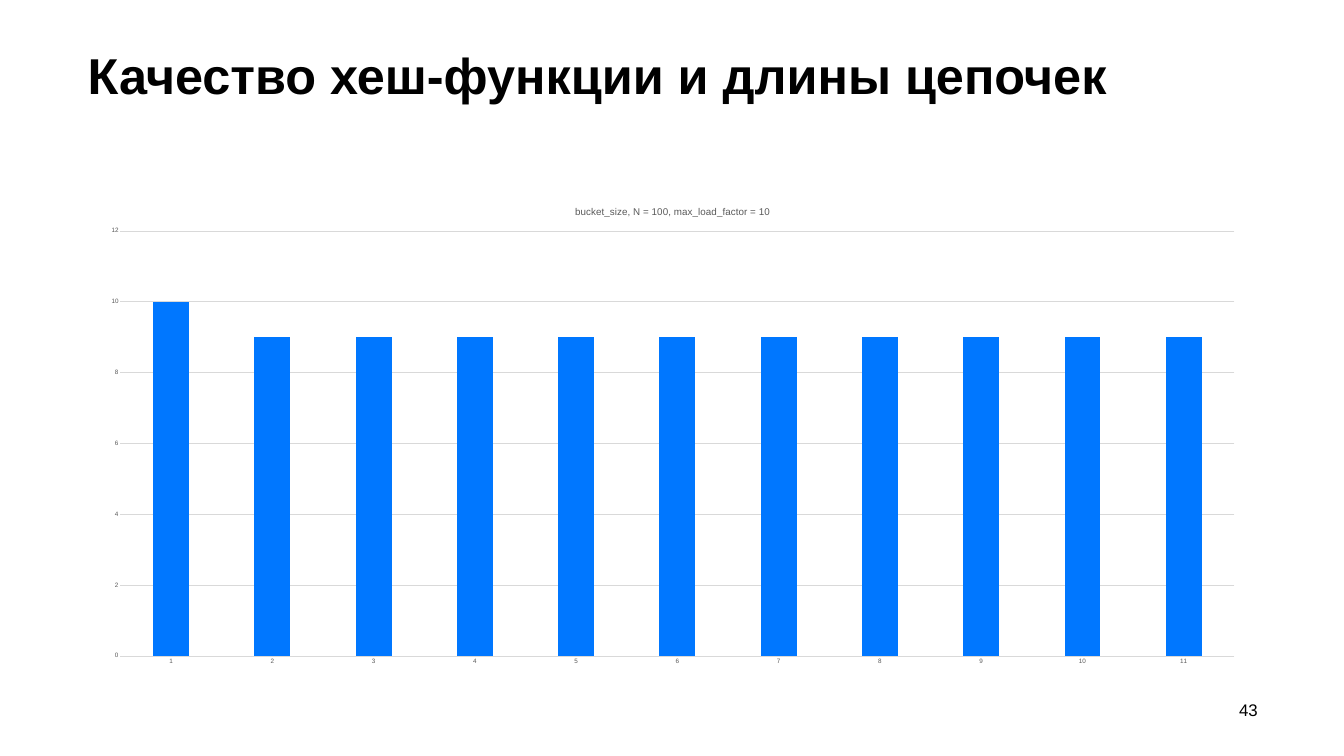
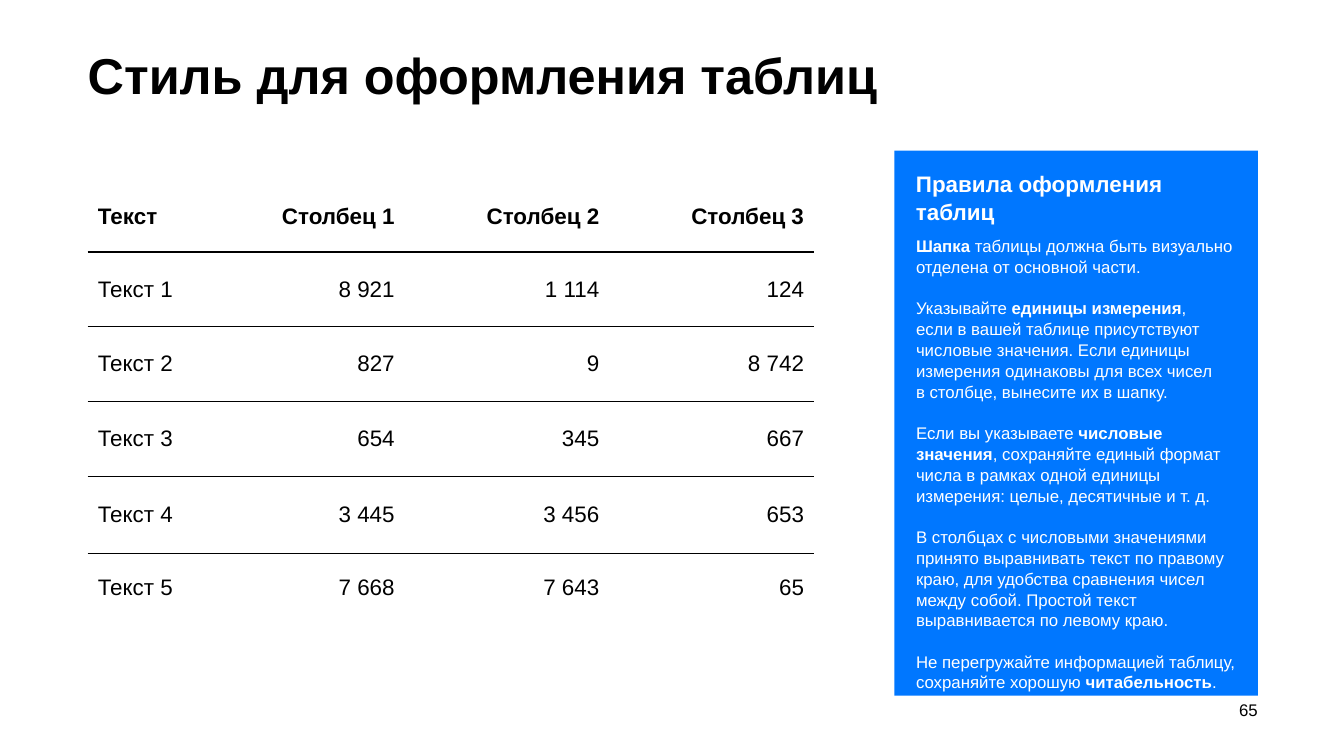
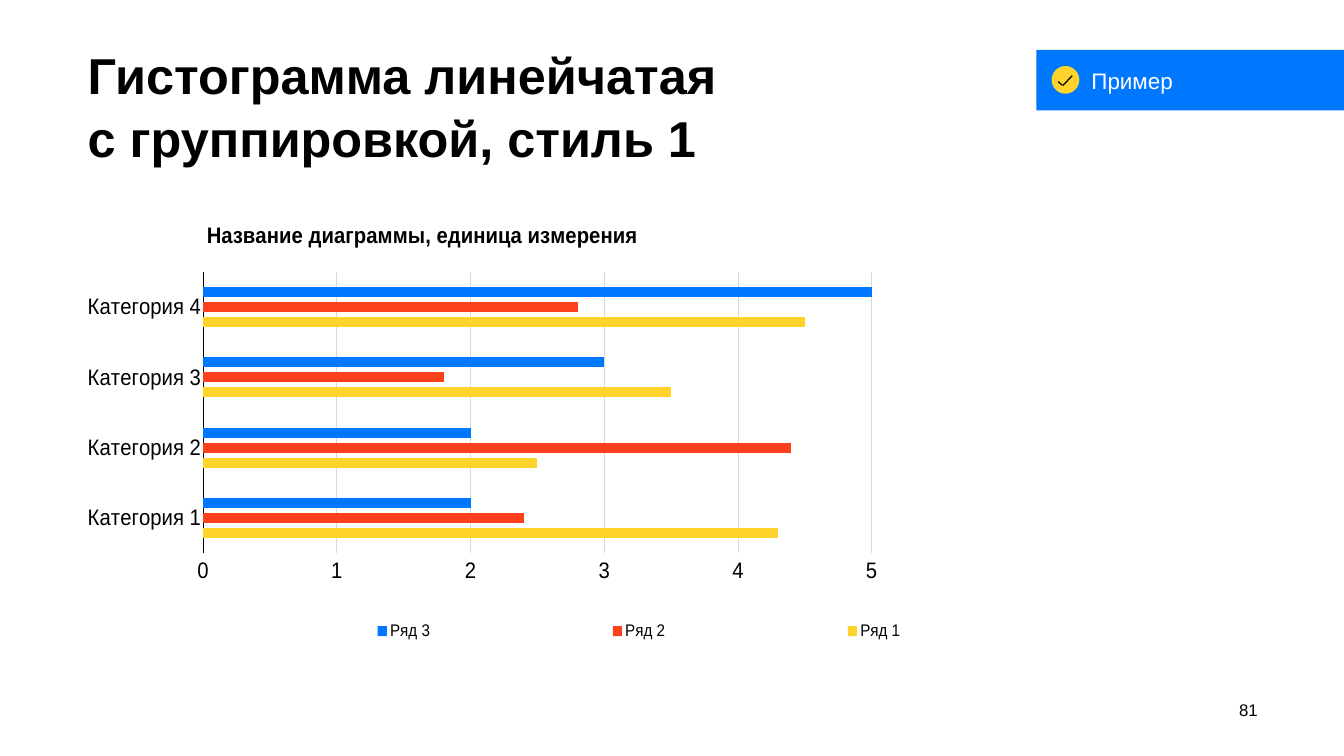
from lxml import etree
from pptx import Presentation
from pptx import util as u
from pptx.chart.data import CategoryChartData
from pptx.dml.color import RGBColor
from pptx.enum import chart as ch, shapes, text
from pptx.oxml.ns import qn

PX = 9144  # 100 px to the inch
FONT = "Arial"
BLACK, WHITE, GRAY, GRID = "000000", "FFFFFF", "595959", "D9D9D9"
BLUE, RED, YELLOW = "0077FF", "FC3F1D", "FED42B"
LEFT, RIGHT = text.PP_ALIGN.LEFT, text.PP_ALIGN.RIGHT
TOP, MIDDLE = text.MSO_ANCHOR.TOP, text.MSO_ANCHOR.MIDDLE
CHART_BOX = (174, 375, 2321, 964)

RULES = [
    "**Шапка** таблицы должна быть визуально отделена от основной части.",
    "Указывайте **единицы измерения**,\nесли в вашей таблице присутствуют "
    "числовые значения. Если единицы измерения одинаковы для всех чисел\n"
    "в столбце, вынесите их в шапку.",
    "Если вы указываете **числовые значения**, сохраняйте единый формат числа "
    "в рамках одной единицы измерения: целые, десятичные и т. д.",
    "В столбцах с числовыми значениями принято выравнивать текст по правому "
    "краю, для удобства сравнения чисел между собой. Простой текст "
    "выравнивается по левому краю.",
    "Не перегружайте информацией таблицу, сохраняйте хорошую **читабельность**.",
]
TABLE_ROWS = [
    ["Текст", "Столбец 1", "Столбец 2", "Столбец 3"],
    ["Текст 1", "8 921", "1 114", "124"],
    ["Текст 2", "827", "9", "8 742"],
    ["Текст 3", "654", "345", "667"],
    ["Текст 4", "3 445", "3 456", "653"],
    ["Текст 5", "7 668", "7 643", "65"],
]


def px(*values):
    return [v * PX for v in values]


def rgb(color):
    return RGBColor.from_string(color)


def set_font(font, size, color=BLACK, bold=False):
    font.name, font.size, font.bold = FONT, u.Pt(size), bold
    font.color.rgb = rgb(color)


def write(tf, paragraphs, size, color=BLACK, bold=False, align=LEFT,
          anchor=TOP, insets=(0, 0, 0, 0), spacing=None, gap=0):
    """Fill a text frame; ** switches bold and a line feed breaks the line."""
    tf.word_wrap = True
    tf.vertical_anchor = anchor
    tf.margin_left, tf.margin_top, tf.margin_right, tf.margin_bottom = px(*insets)
    for i, paragraph in enumerate(paragraphs):
        p = tf.add_paragraph() if i else tf.paragraphs[0]
        p.alignment, p.line_spacing = align, spacing
        if i and gap:
            p.space_before = u.Pt(gap)
        for j, part in enumerate(paragraph.split("**")):
            for k, line in enumerate(part.split("\n")):
                if k:
                    p.add_line_break()
                if line:
                    r = p.add_run()
                    r.text = line
                    set_font(r.font, size, color, bold or j % 2 == 1)


def add_text(slide, box, paragraphs, size, **fmt):
    sp = slide.shapes.add_textbox(*px(*box))
    write(sp.text_frame, paragraphs, size, **fmt)


def add_block(parent, kind, box, fill):
    sp = parent.shapes.add_shape(kind, *px(*box))
    sp.shadow.inherit = False
    sp.fill.solid()
    sp.fill.fore_color.rgb = rgb(fill)
    sp.line.fill.background()
    return sp


def add_line(parent, points, width):
    line = parent.shapes.add_connector(shapes.MSO_CONNECTOR.STRAIGHT, *px(*points))
    line.line.color.rgb = rgb(BLACK)
    line.line.width = u.Pt(width)
    etree.SubElement(line._element.spPr, qn("a:effectLst"))


def add_slide(prs, title, number):
    slide = prs.slides.add_slide(prs.slide_layouts[6])
    add_text(slide, (174, 60, 2322, 159), [title], 72, bold=True,
             insets=(0, 22, 0, 0), spacing=1.04)
    add_text(slide, (2375, 1380, 120, 48), [str(number)], 24, align=RIGHT,
             anchor=MIDDLE, insets=(0, 8, 0, 0))
    return slide


def set_borders(cell, top, bottom):
    """Draw horizontal borders of the given point widths, 0 for none."""
    tc_pr = cell._tc.get_or_add_tcPr()
    for i, (side, width) in enumerate(zip("LRTB", (0, 0, top, bottom))):
        ln = etree.Element(qn(f"a:ln{side}"), w=str(u.Pt(width)))
        if width:
            fill = etree.SubElement(ln, qn("a:solidFill"))
            etree.SubElement(fill, qn("a:srgbClr"), val=BLACK)
        else:
            etree.SubElement(ln, qn("a:noFill"))
        tc_pr.insert(i, ln)


def add_table(slide, box, rows, widths, heights):
    table = slide.shapes.add_table(len(rows), len(widths), *px(*box)).table
    table.first_row = table.horz_banding = False
    for column, width in zip(table.columns, widths):
        column.width = width * PX
    for row, height in zip(table.rows, heights):
        row.height = height * PX
    rules = [0, 3] + [1] * (len(rows) - 2) + [0]
    for i, row in enumerate(rows):
        for j, value in enumerate(row):
            cell = table.cell(i, j)
            write(cell.text_frame, [value], 32, bold=i == 0,
                  align=RIGHT if j else LEFT)
            cell.vertical_anchor = MIDDLE
            cell.margin_left, cell.margin_right = px(20, 20)
            cell.margin_top = cell.margin_bottom = 0
            cell.fill.background()
            set_borders(cell, rules[i], rules[i + 1])


def set_layout(element, index, inner=False, **fractions):
    """Place a chart part by fractions x, y, w, h of the chart's size."""
    for old in element.findall(qn("c:layout")):
        element.remove(old)
    layout = etree.Element(qn("c:layout"))
    manual = etree.SubElement(layout, qn("c:manualLayout"))
    if inner:
        etree.SubElement(manual, qn("c:layoutTarget"), val="inner")
    for name in ("xMode", "yMode"):
        etree.SubElement(manual, qn(f"c:{name}"), val="edge")
    for name, value in fractions.items():
        etree.SubElement(manual, qn(f"c:{name}"), val=str(value))
    element.insert(index, layout)


def style_axis(axis, size, color, line=None, grid=None, width=1,
               tick=ch.XL_TICK_MARK.NONE):
    set_font(axis.tick_labels.font, size, color)
    axis.major_tick_mark, axis.minor_tick_mark = tick, ch.XL_TICK_MARK.NONE
    axis.has_major_gridlines = grid is not None
    if grid:
        axis.major_gridlines.format.line.color.rgb = rgb(grid)
        axis.major_gridlines.format.line.width = u.Pt(width)
    if line:
        axis.format.line.color.rgb = rgb(line)
        axis.format.line.width = u.Pt(width)
    else:
        axis.format.line.fill.background()


def add_chart(slide, kind, categories, series, gap, title, title_at, plot_at,
              size, color, bold=False, overlap=0):
    """Add a bar chart; series holds (name, values, color) rows."""
    data = CategoryChartData()
    data.categories = categories
    for name, values, _ in series:
        data.add_series(name, values)
    chart = slide.shapes.add_chart(kind, *px(*CHART_BOX), data).chart
    set_font(chart.font, 10)
    chart.has_legend = False
    chart.has_title = True
    heading = chart.chart_title
    p = heading.text_frame.paragraphs[0]
    r = p.add_run()
    r.text = title
    set_font(r.font, size, color, bold)
    heading.include_in_layout = False
    set_layout(heading._element, 1, x=title_at[0], y=title_at[1])
    set_layout(chart._chartSpace.chart.plotArea, 0, inner=True,
               **dict(zip("xywh", plot_at)))
    plot = chart.plots[0]
    plot.vary_by_categories = False
    plot.gap_width, plot.overlap = gap, overlap
    for bars, (_, _, fill) in zip(plot.series, series):
        bars.format.fill.solid()
        bars.format.fill.fore_color.rgb = rgb(fill)
        bars.invert_if_negative = False
    return chart


def add_badge(slide, label):
    badge = slide.shapes.add_group_shape()
    band = add_block(badge, shapes.MSO_SHAPE.RECTANGLE, (2056, 99, 611, 120), BLUE)
    write(band.text_frame, [label], 32, color=WHITE, anchor=MIDDLE,
          insets=(109, 24, 10, 24))
    add_block(badge, shapes.MSO_SHAPE.OVAL, (2086, 131, 55, 55), YELLOW)
    add_line(badge, (2099, 162, 2107, 169), 1.75)
    add_line(badge, (2108, 170, 2127, 150), 1.75)


def build_chain_lengths(prs):
    slide = add_slide(prs, "Качество хеш-функции и длины цепочек", 43)
    chart = add_chart(
        slide, ch.XL_CHART_TYPE.COLUMN_CLUSTERED,
        [str(n) for n in range(1, 12)], [("Series 1", [10] + [9] * 10, BLUE)],
        182, "bucket_size, N = 100, max_load_factor = 10",
        (0.415, 0.03), (0.028, 0.086, 0.952, 0.875), 14, GRAY)
    style_axis(chart.category_axis, 9, GRAY, line=GRID, width=0.75)
    style_axis(chart.value_axis, 9, GRAY, grid=GRID, width=0.75)
    chart.value_axis.minimum_scale = 0


def build_table_style(prs):
    slide = add_slide(prs, "Стиль для оформления таблиц", 65)
    add_table(slide, (174, 359, 1441, 875), TABLE_ROWS,
              (251, 378, 406, 406), (141, 148, 149, 149, 152, 136))
    add_block(slide, shapes.MSO_SHAPE.RECTANGLE, (1774, 299, 721, 1081), BLUE)
    add_text(slide, (1817, 335, 600, 113), ["Правила оформления таблиц"], 32,
             color=WHITE, bold=True, spacing=1.04)
    add_text(slide, (1817, 466, 639, 880), RULES, 24, color=WHITE,
             spacing=1.04, gap=28.7)


def build_grouped_bars(prs):
    slide = add_slide(prs, "Гистограмма линейчатая\nс группировкой, стиль 1", 81)
    chart = add_chart(
        slide, ch.XL_CHART_TYPE.BAR_CLUSTERED,
        [f"Категория {n}" for n in range(1, 5)],
        [("Ряд 1", [4.3, 2.5, 3.5, 4.5], YELLOW),
         ("Ряд 2", [2.4, 4.4, 1.8, 2.8], RED),
         ("Ряд 3", [2, 2, 3, 5], BLUE)],
        300, "Название диаграммы, единица измерения",
        (0.003, 0.057), (0.003, 0.17, 0.632, 0.58), 32, BLACK,
        bold=True, overlap=-50)
    style_axis(chart.category_axis, 32, BLACK, line=BLACK)
    style_axis(chart.value_axis, 32, BLACK, grid=GRID,
               tick=ch.XL_TICK_MARK.OUTSIDE)
    chart.value_axis.maximum_scale, chart.value_axis.major_unit = 5, 1
    chart.has_legend = True
    legend = chart.legend
    legend.position = ch.XL_LEGEND_POSITION.BOTTOM
    legend.include_in_layout = False
    set_font(legend.font, 24)
    set_layout(legend._element, 1, x=0, y=0.87, w=0.83, h=0.08)
    add_badge(slide, "Пример")


def main():
    prs = Presentation()
    prs.slide_width, prs.slide_height = px(2666, 1500)
    build_chain_lengths(prs)
    build_table_style(prs)
    build_grouped_bars(prs)
    prs.save("out.pptx")


if __name__ == "__main__":
    main()
